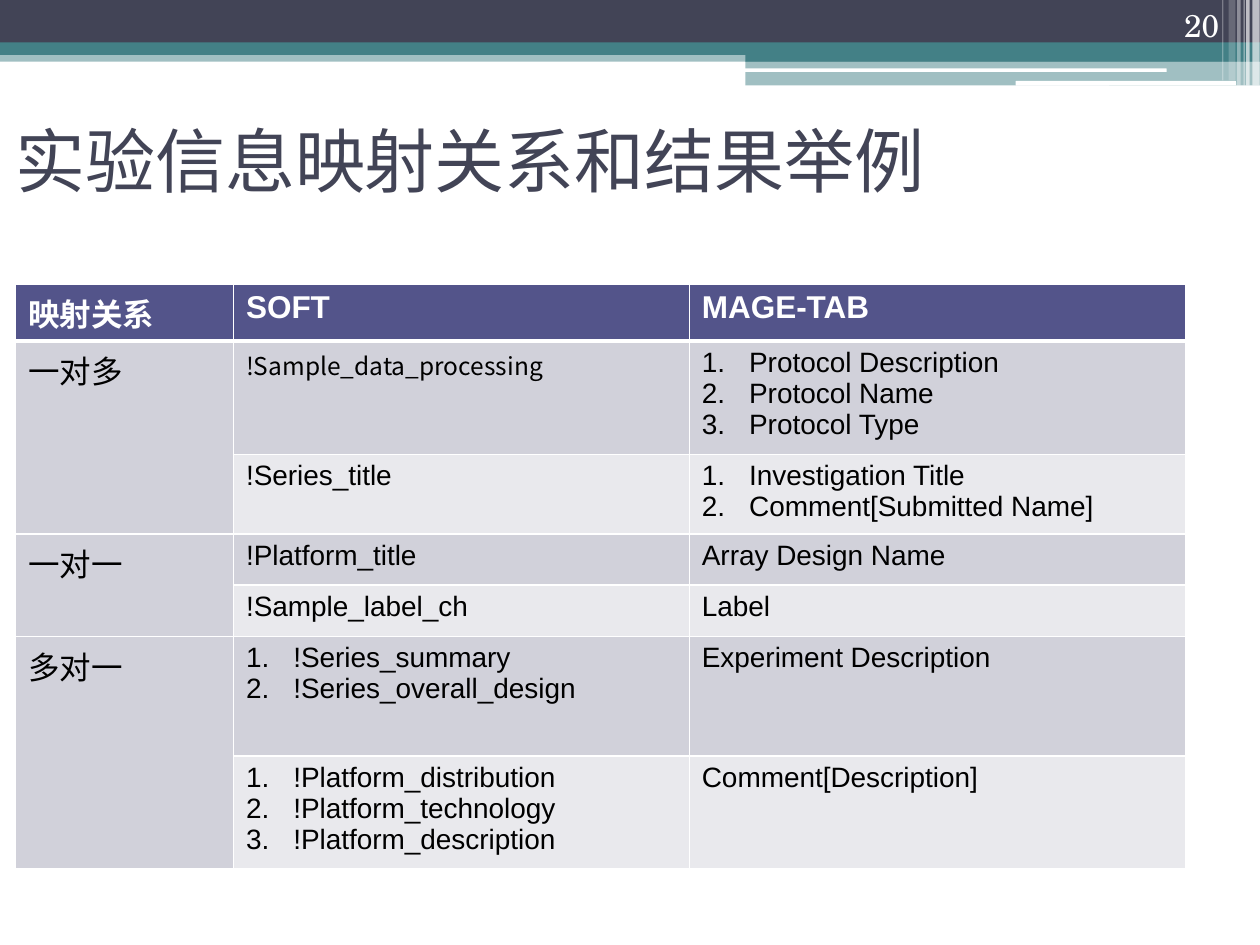
"""Build the slide on mapping relations between SOFT and MAGE-TAB."""
from lxml.etree import SubElement
from pptx import Presentation
from pptx.dml.color import RGBColor
from pptx.enum.shapes import MSO_SHAPE as Shape
from pptx.enum.text import MSO_ANCHOR as Anchor, PP_ALIGN as Align
from pptx.oxml.ns import qn
from pptx.util import Pt

COLORS = dict(navy="424456", teal="438086", white="FFFFFF", black="000000",
              header="53548A", dark_band="D1D1DA", light_band="E9E9ED")
TITLE = "实验信息映射关系和结果举例"
PAGE_NUMBER = "20"
HEADER = ["映射关系", "SOFT", "MAGE-TAB"]
GROUPS = [
    ("一对多", [
        ("!Sample_data_processing",
         ["Protocol Description", "Protocol Name", "Protocol Type"]),
        ("!Series_title", ["Investigation Title", "Comment[Submitted Name]"])]),
    ("一对一", [
        ("!Platform_title", "Array Design Name"),
        ("!Sample_label_ch", "Label")]),
    ("多对一", [
        (["!Series_summary", "!Series_overall_design"], "Experiment Description"),
        (["!Platform_distribution", "!Platform_technology", "!Platform_description"],
         "Comment[Description]")]),
]
SPECIAL_FONTS = {"!Sample_data_processing": dict(font="Noto Sans CJK SC", size=14)}
COLUMN_WIDTHS = [124.5, 260.5, 283.5]
ROW_HEIGHTS = [32.6, 60.3, 43.1, 29.2, 29.2, 68.3, 60.6]

BANDS = [
    (0, 28.8, 720, 6.5, "teal", 50),
    (0, 0, 720, 24.5, "navy", 100),
    (0, 24.2, 720, 7.2, "teal", 100),
    (426, 28, 294, 7.2, "teal", 100),
    (426, 34.8, 294, 14, "teal", 50),
]
PILLS = [(425.5, 39.1, 241.2, 2), (580.3, 46.3, 126, 2.6)]
STRIPES = [(715.6, 4.2, 49, 65), (712.1, 2, 49, 65), (710.6, 0.7, 49, 60),
           (707, 2, 49, 40), (702, 4, 46, 20), (698.4, 0.7, 46, 30)]

deck = Presentation()
deck.slide_width, deck.slide_height = Pt(720), Pt(540)
page = deck.slides.add_slide(deck.slide_layouts[6])


def rgb(name):
    return RGBColor.from_string(COLORS[name])


def write(frame, text, font="Arial", size=16, color="black", bold=False, align=Align.LEFT):
    numbered = isinstance(text, list)
    for index, line in enumerate(text if numbered else [text]):
        para = frame.add_paragraph() if index else frame.paragraphs[0]
        para.alignment = align
        if numbered:
            props = para._p.get_or_add_pPr()
            props.set("marL", str(Pt(27)))
            props.set("indent", str(Pt(-27)))
            SubElement(props, qn("a:buFont"), typeface="+mj-lt")
            SubElement(props, qn("a:buAutoNum"), type="arabicPeriod")
        span = para.add_run()
        span.text = line
        span.font.name, span.font.size, span.font.bold = font, Pt(size), bold
        span.font.color.rgb = rgb(color)


def add_bar(left, top, width, height, color, opacity=100, kind=Shape.RECTANGLE):
    bar = page.shapes.add_shape(kind, Pt(left), Pt(top), Pt(width), Pt(height))
    bar.shadow.inherit = False
    bar.line.fill.background()
    bar.fill.solid()
    bar.fill.fore_color.rgb = rgb(color)
    if opacity < 100:
        tint = bar.fill._xPr.find(qn("a:solidFill"))[0]
        SubElement(tint, qn("a:alpha"), val=str(opacity * 1000))


def add_text(left, top, width, height, text, anchor, **style):
    box = page.shapes.add_textbox(Pt(left), Pt(top), Pt(width), Pt(height))
    box.text_frame.word_wrap = True
    box.text_frame.vertical_anchor = anchor
    write(box.text_frame, text, **style)


def fill_cell(cell, fill, text=None, bottom=1, **style):
    props = cell._tc.get_or_add_tcPr()
    for side, weight in dict(L=1, R=1, T=1, B=bottom).items():
        edge = SubElement(props, qn(f"a:ln{side}"), w=str(Pt(weight)))
        paint = SubElement(edge, qn("a:solidFill"))
        SubElement(paint, qn("a:srgbClr"), val=COLORS["white"])
    cell.fill.solid()
    cell.fill.fore_color.rgb = rgb(fill)
    if text:
        write(cell.text_frame, text, **style)


for band in BANDS:
    add_bar(*band)
for pill in PILLS:
    add_bar(*pill, "white", kind=Shape.ROUNDED_RECTANGLE)
for left, width, height, opacity in STRIPES:
    add_bar(left, 0, width, height, "white", opacity)

add_text(643.7, 0, 60, 28.8, PAGE_NUMBER, Anchor.BOTTOM, font="TeX Gyre Schola",
         size=18, color="white", align=Align.RIGHT)
add_text(1.7, 49, 648, 84, TITLE, Anchor.MIDDLE, font="Karla", size=40, color="navy")

table = page.shapes.add_table(len(ROW_HEIGHTS), len(COLUMN_WIDTHS), Pt(8.9), Pt(162.2),
                              Pt(sum(COLUMN_WIDTHS)), Pt(sum(ROW_HEIGHTS))).table
for column, width in zip(table.columns, COLUMN_WIDTHS):
    column.width = Pt(width)
for row, height in zip(table.rows, ROW_HEIGHTS):
    row.height = Pt(height)

for col, heading in enumerate(HEADER):
    fill_cell(table.cell(0, col), "header", heading, bottom=3, size=18,
              color="white", bold=True)
row = 1
for relation, pairs in GROUPS:
    table.cell(row, 0).merge(table.cell(row + len(pairs) - 1, 0))
    for index, pair in enumerate(pairs):
        fill_cell(table.cell(row, 0), "dark_band", None if index else relation, size=18)
        for col, text in enumerate(pair, 1):
            fill_cell(table.cell(row, col), "light_band" if index else "dark_band", text,
                      **SPECIAL_FONTS.get(str(text), {}))
        row += 1

deck.save("out.pptx")
